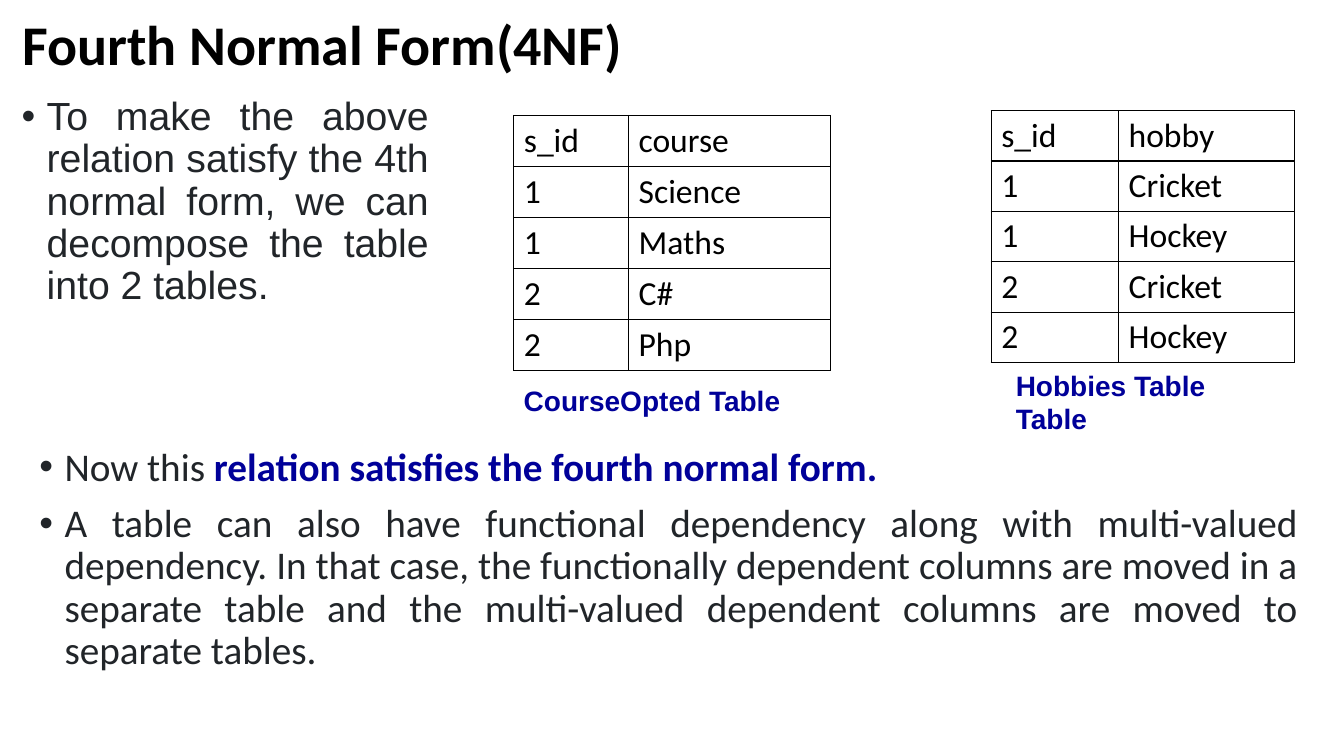
from lxml.etree import SubElement
from pptx import Presentation
from pptx.dml.color import RGBColor
from pptx.enum.shapes import MSO_SHAPE
from pptx.enum.text import MSO_ANCHOR, PP_ALIGN
from pptx.oxml.ns import qn
from pptx.util import Pt

COLORS = {"black": "000000", "body": "212529", "accent": "000099", "white": "FFFFFF"}
TABLE_SIZE = 24
LINE_HEIGHT = 29.3  # one line of table text


class SlideBuilder:
    def __init__(self, slide):
        self.shapes = slide.shapes

    def color(self, name):
        return RGBColor.from_string(COLORS[name])

    def span(self, para, text, size, font, color, bold=False):
        span = para.add_run()
        span.text = text
        span.font.size = Pt(size)
        span.font.name = font
        span.font.bold = bold
        span.font.color.rgb = self.color(color)

    def text_box(self, left, top, width, height):
        box = self.shapes.add_textbox(Pt(left), Pt(top), Pt(width), Pt(height))
        box.text_frame.word_wrap = True
        return box.text_frame

    def title(self, text, *place):
        frame = self.text_box(*place)
        frame.vertical_anchor = MSO_ANCHOR.MIDDLE
        para = frame.paragraphs[0]
        para.line_spacing = 0.9
        self.span(para, text, 40, "Calibri", "black", bold=True)

    def bullets(self, items, font, *place):
        """Each item is a list of (text, color, bold) runs."""
        frame = self.text_box(*place)
        for index, runs in enumerate(items):
            para = frame.add_paragraph() if index else frame.paragraphs[0]
            para.alignment = PP_ALIGN.JUSTIFY
            para.line_spacing = 0.9
            if index:
                para.space_before = Pt(10)
            props = para._p.get_or_add_pPr()
            props.set("marL", str(Pt(18)))
            props.set("indent", str(-Pt(18)))
            SubElement(props, qn("a:buFont")).set("typeface", "Arial")
            SubElement(props, qn("a:buChar")).set("char", "•")
            for text, color, bold in runs:
                self.span(para, text, 28, font, color, bold)

    def caption(self, text, left, top, width, height):
        box = self.shapes.add_shape(
            MSO_SHAPE.RECTANGLE, Pt(left), Pt(top), Pt(width), Pt(height))
        box.shadow.inherit = False
        box.fill.solid()
        box.fill.fore_color.rgb = self.color("white")
        box.line.fill.background()
        frame = box.text_frame
        frame.word_wrap = True
        frame.vertical_anchor = MSO_ANCHOR.MIDDLE
        para = frame.paragraphs[0]
        para.alignment = PP_ALIGN.LEFT
        self.span(para, text, 20, "Arial", "accent", bold=True)

    def borders(self, cell):
        props = cell._tc.get_or_add_tcPr()
        for position, side in enumerate(("lnL", "lnR", "lnT", "lnB")):
            line = SubElement(props, qn(f"a:{side}"), w=str(Pt(1)))
            fill = SubElement(line, qn("a:solidFill"))
            SubElement(fill, qn("a:srgbClr"), val=COLORS["black"])
            props.insert(position, line)

    def table(self, rows, left, top, widths, row_height, fill=None):
        table = self.shapes.add_table(
            len(rows), len(widths), Pt(left), Pt(top),
            Pt(sum(widths)), Pt(row_height * len(rows))).table
        table.first_row = table.horz_banding = False
        for column, width in zip(table.columns, widths):
            column.width = Pt(width)
        for row, texts in zip(table.rows, rows):
            row.height = Pt(row_height)
            for cell, text in zip(row.cells, texts):
                cell.margin_top = cell.margin_bottom = Pt((row_height - LINE_HEIGHT) / 2)
                if fill:
                    cell.fill.solid()
                    cell.fill.fore_color.rgb = self.color(fill)
                else:
                    cell.fill.background()
                self.borders(cell)
                para = cell.text_frame.paragraphs[0]
                self.span(para, text, TABLE_SIZE, "Calibri", "black")


def main():
    deck = Presentation()
    deck.slide_width, deck.slide_height = Pt(960), Pt(540)
    page = SlideBuilder(deck.slides.add_slide(deck.slide_layouts[6]))

    page.title("Fourth Normal Form(4NF)", 9, 1.5, 460, 64)
    page.bullets([
        [("To make the above relation satisfy the 4th normal form, "
          "we can decompose the table into 2 tables.", "body", False)],
    ], "Arial", 8.3, 65.5, 305, 239)
    page.bullets([
        [("Now this ", "body", False),
         ("relation satisfies the fourth normal form.", "accent", True)],
        [("A table can also have functional dependency along with multi-valued "
          "dependency. In that case, the functionally dependent columns are moved "
          "in a separate table and the multi-valued dependent columns are moved "
          "to separate tables.", "body", False)],
    ], "Calibri", 21, 316, 913, 211)

    courses = [("s_id", "course"), ("1", "Science"), ("1", "Maths"),
               ("2", "C#"), ("2", "Php")]
    page.table(courses, 367, 82.5, (82, 144), 36.5)
    page.caption("CourseOpted Table", 367, 270, 242, 32)

    hobbies = [("s_id", "hobby"), ("1", "Cricket"), ("1", "Hockey"),
               ("2", "Cricket"), ("2", "Hockey")]
    page.table(hobbies, 708, 79, (91, 125.5), 36, fill="white")
    page.caption("Hobbies Table Table", 718.5, 271, 196, 32)

    deck.save("out.pptx")


if __name__ == "__main__":
    main()
